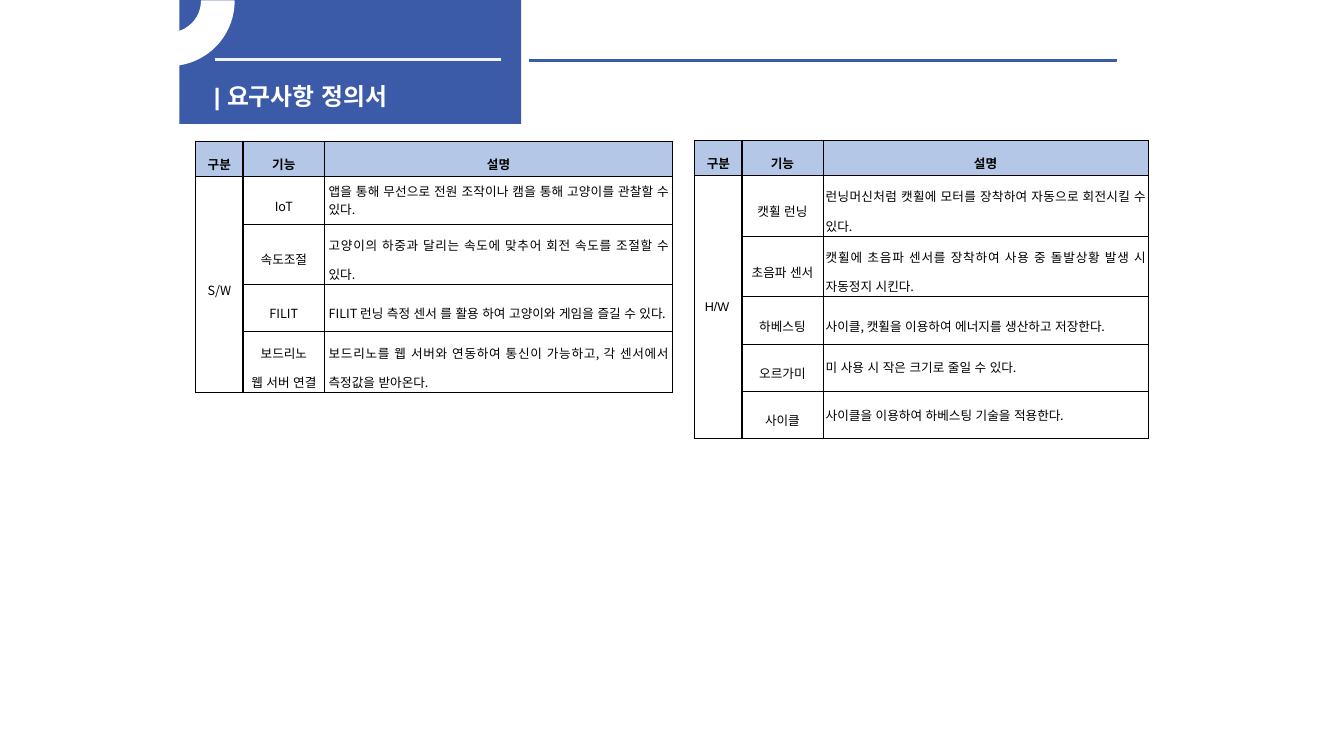
from lxml import etree
from pptx import Presentation
from pptx import util as u
from pptx.dml.color import RGBColor
from pptx.enum import lang, shapes, text
from pptx.oxml import ns

BLUE, PALE, WHITE, BLACK = "3B5AA8", "B4C7E7", "FFFFFF", "000000"
SANS, ARIAL = "Noto Sans CJK KR", "Arial"
CENTER, JUSTIFY, LEFT = (text.PP_ALIGN.CENTER, text.PP_ALIGN.JUSTIFY,
                         text.PP_ALIGN.LEFT)
THICK, THIN = 1, 0.28
HEADER = ["구분", "기능", "설명"]

# Function, description and line spacing of the description
SOFTWARE = [
    ("IoT", "앱을 통해 무선으로 전원 조작이나 캠을 통해 고양이를 관찰할 수 있다.", 1.0),
    ("속도조절", "고양이의 하중과 달리는 속도에 맞추어 회전 속도를 조절할 수 있다.", 1.6),
    ("FILIT", "FILIT 런닝 측정 센서 를 활용 하여 고양이와 게임을 즐길 수 있다.", 1.6),
    ("보드리노\n웹 서버 연결",
     "보드리노를 웹 서버와 연동하여 통신이 가능하고, 각 센서에서 측정값을 받아온다.", 1.6),
]
HARDWARE = [
    ("캣휠 런닝", "런닝머신처럼 캣휠에 모터를 장착하여 자동으로 회전시킬 수 있다.", 1.6),
    ("초음파 센서", "캣휠에 초음파 센서를 장착하여 사용 중 돌발상황 발생 시 자동정지 시킨다.", 1.6),
    ("하베스팅", "사이클, 캣휠을 이용하여 에너지를 생산하고 저장한다.", 1.6),
    ("오르가미", "미 사용 시 작은 크기로 줄일 수 있다.", 1.0),
    ("사이클", "사이클을 이용하여 하베스팅 기술을 적용한다.", 1.0),
]


def rgb(value):
    return RGBColor.from_string(value)


def set_attrs(obj, values):
    for name, value in values.items():
        setattr(obj, name, value)


def write(tf, content, color=BLACK, align=LEFT, spacing=1.0, **font):
    """Fill a text frame, one paragraph per line of content."""
    tf.text = content
    for p in tf.paragraphs:
        set_attrs(p, {"alignment": align, "line_spacing": spacing})
        for r in p.runs:
            set_attrs(r.font, {"language_id": lang.MSO_LANGUAGE_ID.KOREAN, **font})
            r.font.color.rgb = rgb(color)


def add_block(s, kind, box, color, line=None):
    sp = s.shapes.add_shape(kind, *map(u.Inches, box))
    sp.shadow.inherit = False
    sp.fill.solid()
    sp.fill.fore_color.rgb = rgb(color)
    if line:
        sp.line.color.rgb = rgb(line)
        sp.line.width = u.Pt(1)
    else:
        sp.line.fill.background()
    return sp


def add_rule(s, left, right, y, color):
    line = s.shapes.add_connector(shapes.MSO_CONNECTOR.STRAIGHT,
                                  *map(u.Inches, (left, y, right, y)))
    line.line.color.rgb = rgb(color)
    line.line.width = u.Pt(2.25)
    etree.SubElement(line._element.spPr, ns.qn("a:effectLst"))


def add_title(s, content):
    sp = s.shapes.title
    box = (2.02, 0.76, 3.07, 0.32)
    set_attrs(sp, dict(zip(("left", "top", "width", "height"),
                           map(u.Inches, box))))
    set_attrs(sp.text_frame, {"word_wrap": True,
                              "auto_size": text.MSO_AUTO_SIZE.NONE,
                              "vertical_anchor": text.MSO_ANCHOR.TOP})
    write(sp.text_frame, content, WHITE, name=ARIAL, size=u.Pt(17), bold=True)


def set_borders(cell, row, col, last_row):
    """Thick around the table, the header and the first column; thin inside."""
    bottom = last_row if cell.is_merge_origin else row + 1
    edges = [("L", col, (0, 1, 3)), ("R", col + 1, (0, 1, 3)),
             ("T", row, (0, 1, last_row)), ("B", bottom, (0, 1, last_row))]
    tc_pr = cell._tc.get_or_add_tcPr()
    place = 0
    for side, edge, thick in edges:
        if col == 0 and edge not in thick:
            continue  # inside the merged cell
        width = THICK if edge in thick else THIN
        ln = etree.Element(ns.qn(f"a:ln{side}"), w=str(int(u.Pt(width))))
        fill = etree.SubElement(ln, ns.qn("a:solidFill"))
        etree.SubElement(fill, ns.qn("a:srgbClr"), val=BLACK)
        tc_pr.insert(place, ln)
        place += 1


def format_cell(cell, content, margins=(0.03, 0.01), color=None, **style):
    side, end = map(u.Inches, margins)
    set_attrs(cell, {"margin_left": side, "margin_right": side,
                     "margin_top": end, "margin_bottom": end,
                     "vertical_anchor": text.MSO_ANCHOR.MIDDLE})
    if color:
        cell.fill.solid()
        cell.fill.fore_color.rgb = rgb(color)
    else:
        cell.fill.background()
    base = {"align": CENTER, "spacing": 1.6, "name": SANS,
            "size": u.Pt(9), "bold": False}
    write(cell.text_frame, content, **{**base, **style})


def add_requirements(s, left, top, widths, group, group_style, items, side):
    last = len(items) + 1
    heights = [0.35] + [0.47] * len(items)
    box = map(u.Inches, (left, top, sum(widths), sum(heights)))
    table = s.shapes.add_table(last, 3, *box).table
    set_attrs(table, {"first_row": False, "horz_banding": False})
    for column, width in zip(table.columns, widths):
        column.width = u.Inches(width)
    for row, height in zip(table.rows, heights):
        row.height = u.Inches(height)
    table.cell(1, 0).merge(table.cell(last - 1, 0))

    # Header row and group cell
    margins = (side, 0.01)
    for col, label in enumerate(HEADER):
        format_cell(table.cell(0, col), label, margins, PALE, bold=True)
    format_cell(table.cell(1, 0), group, **{"margins": margins, **group_style})

    # Requirements
    for row, (function, description, spacing) in enumerate(items, 1):
        format_cell(table.cell(row, 1), function, margins)
        format_cell(table.cell(row, 2), description, margins,
                    align=JUSTIFY, spacing=spacing)
    for row in range(last):
        for col in range(3):
            set_borders(table.cell(row, col), row, col, last)


def main():
    prs = Presentation()
    prs.slide_width, prs.slide_height = u.Inches(13.33), u.Inches(7.5)
    s = prs.slides.add_slide(prs.slide_layouts[5])

    # Header band; the title is raised above it
    add_block(s, shapes.MSO_SHAPE.RECTANGLE, (1.78, 0, 3.39, 1.23), BLUE)
    add_rule(s, 2.13, 4.97, 0.59, "F2F2F2")
    add_rule(s, 5.25, 11.08, 0.6, BLUE)
    add_title(s, "| 요구사항 정의서")
    s.shapes._spTree.append(s.shapes.title._element)
    arc = add_block(s, shapes.MSO_SHAPE.BLOCK_ARC, (1.03, -0.63, 1.29, 1.28),
                    WHITE, WHITE)
    for i, value in enumerate((0, 119.05, 0.25)):
        arc.adjustments[i] = value

    # Requirement tables
    add_requirements(s, 1.94, 1.4, (0.47, 0.81, 3.45), "S/W", {}, SOFTWARE, 0.04)
    plain = {"margins": (0.1, 0.05), "align": LEFT, "spacing": 1.0, "name": ARIAL}
    add_requirements(s, 6.89, 1.39, (0.47, 0.8, 3.23), "H/W", plain, HARDWARE, 0.03)

    prs.save("out.pptx")


if __name__ == "__main__":
    main()
